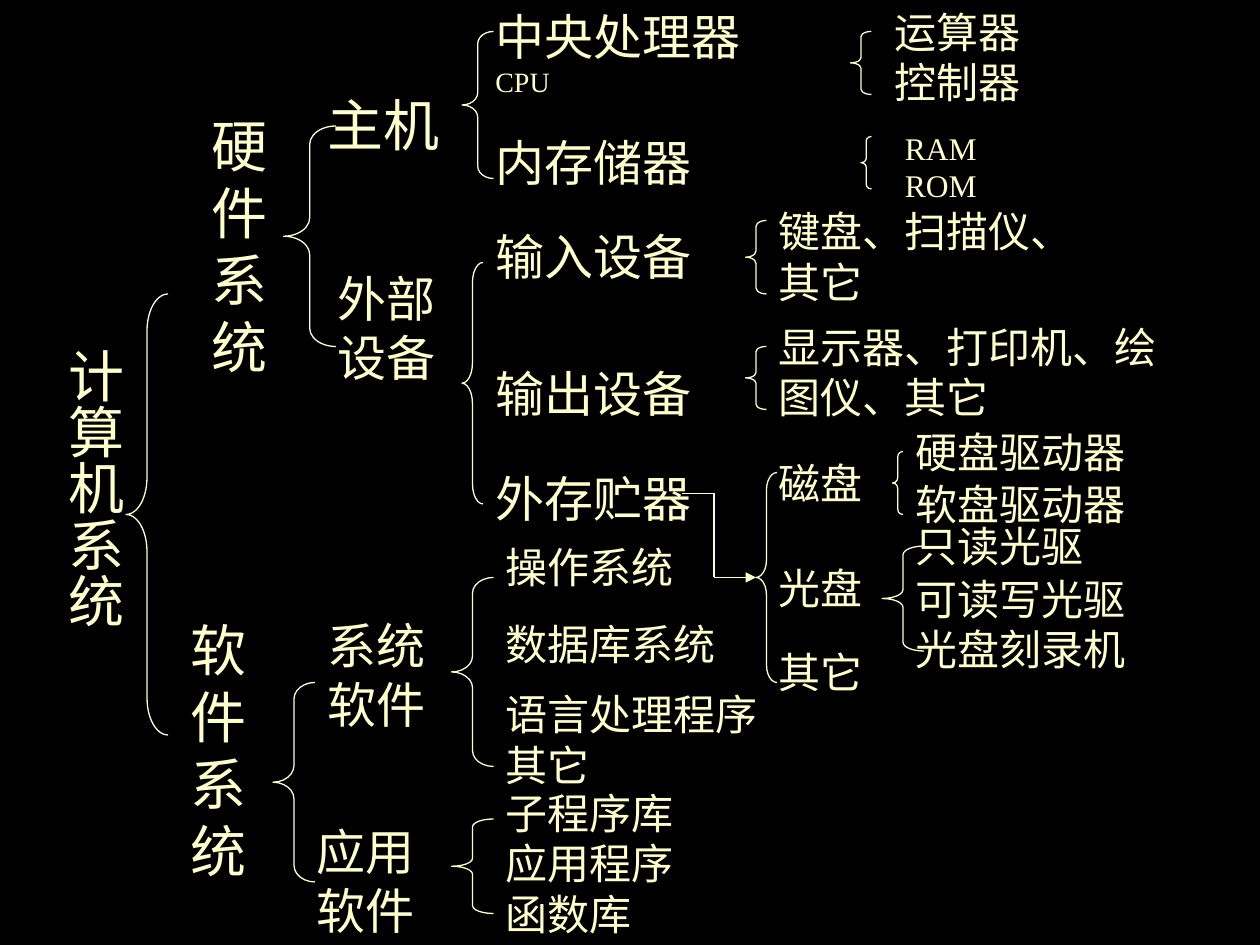
from dataclasses import dataclass
from itertools import pairwise

from lxml.etree import SubElement
from pptx import Presentation
from pptx.dml.color import RGBColor
from pptx.enum.shapes import MSO_CONNECTOR as CONN, MSO_SHAPE as SHAPE
from pptx.enum.text import MSO_AUTO_SIZE as AUTO, PP_ALIGN as ALIGN
from pptx.oxml.ns import qn
from pptx.util import Pt


@dataclass(frozen=True)
class Theme:
    back: RGBColor = RGBColor.from_string("000000")
    ink: RGBColor = RGBColor.from_string("FFFFCC")
    font: str = "Times New Roman"
    line: float = 0.75
    system: int = 32
    group: int = 28
    item: int = 24
    memory: int = 18
    note: int = 16


T = Theme()


def style_line(line):
    line.color.rgb = T.ink
    line.width = Pt(T.line)


def add_run(p, text, size):
    r = p.add_run()
    r.text = text
    fmt = {"name": T.font, "size": Pt(size)}
    for name, value in fmt.items():
        setattr(r.font, name, value)
    r.font.color.rgb = T.ink


def add_label(s, box, x, y, w, h, text, size):
    """Text at an offset in the box; each line of text is a paragraph."""
    sp = s.shapes.add_textbox(Pt(box[0] + x), Pt(box[1] + y), Pt(w), Pt(h))
    tf = sp.text_frame
    tf.word_wrap = True
    tf.auto_size = AUTO.SHAPE_TO_FIT_TEXT
    for i, words in enumerate(text.split("\n")):
        p = tf.add_paragraph() if i else tf.paragraphs[0]
        if i:
            p.space_before = Pt(15)
        for j, piece in enumerate(words.split("\v")):
            if j:
                p.add_line_break()
            add_run(p, piece, size)
    return tf


def add_brace(s, box, x, y, w, h):
    sp = s.shapes.add_shape(SHAPE.LEFT_BRACE, Pt(box[0] + x), Pt(box[1] + y), Pt(w), Pt(h))
    sp.adjustments[0] = h / 12 / w  # each curve is a twelfth of the height
    sp.shadow.inherit = False
    sp.fill.background()
    style_line(sp.line)


def add_route(s, box, points):
    """Straight segments through the points, with an arrow at the end."""
    for (x1, y1), (x2, y2) in pairwise(points):
        cx = s.shapes.add_connector(CONN.STRAIGHT, Pt(box[0] + x1), Pt(box[1] + y1),
                                    Pt(box[0] + x2), Pt(box[1] + y2))
        style_line(cx.line)
        SubElement(cx._element.spPr, qn("a:effectLst"))
    SubElement(cx._element.spPr.find(qn("a:ln")), qn("a:tailEnd"), type="triangle")


def add_tree(s, box, labels, braces):
    for label in labels:
        add_label(s, box, *label)
    for brace in braces:
        add_brace(s, box, *brace)


def add_root(s, box):
    tf = add_label(s, box, 0, 24, 52.5, 198, "计算机系统", T.system)
    tf._txBody.bodyPr.set("vert", "eaVert")
    margins = {"margin_left": 3.6, "margin_right": 3.6, "margin_top": 7.2, "margin_bottom": 7.2}
    for name, value in margins.items():
        setattr(tf, name, Pt(value))
    tf.paragraphs[0].alignment = ALIGN.CENTER
    add_brace(s, box, 47.5, 0, 24, 252)


def add_hardware(s, box):
    labels = [
        (0, 60, 48, 161, "硬件系统", T.system),
        (66, 48, 108, 46, "主机", T.system),
        (72, 150, 84, 75, "外部设备", T.group),
        (162, 72, 144, 41, "内存储器", T.group),
        (162, 126, 150, 41, "输入设备", T.group),
        (162, 204, 180, 41, "输出设备", T.group),
        (390, 0, 114, 65, "运算器\v控制器", T.item),
        (396, 70, 84, 50, "RAM\vROM", T.memory),
        (324, 114, 204, 65, "键盘、扫描仪、其它", T.item),
        (324, 180, 234, 65, "显示器、打印机、绘图仪、其它", T.item),
    ]
    braces = [(48, 72, 30, 126), (150, 18, 18, 84), (150, 150, 12, 138), (372, 18, 12, 36),
              (378, 78, 6, 30), (312, 126, 12, 42), (312, 198, 12, 36)]
    add_tree(s, box, labels, braces)
    # Processor name with its small abbreviation
    tf = add_label(s, box, 162, 0, 162, 60.5, "中央处理器", T.group)
    add_run(tf.paragraphs[0], "CPU", T.note)


def add_storage(s, box):
    labels = [
        (0, 24, 150, 41, "外存贮器", T.group),
        (162, 18, 108, 36, "磁盘", T.item),
        (162, 78, 72, 36, "光盘", T.item),
        (162, 126, 72, 36, "其它", T.item),
        (240, 0, 150, 36, "硬盘驱动器", T.item),
        (240, 30, 144, 36, "软盘驱动器", T.item),
        (240, 54, 144, 36, "只读光驱", T.item),
        (240, 84, 150, 65, "可读写光驱光盘刻录机", T.item),
    ]
    braces = [(156, 30, 12, 120), (234, 18, 6, 36), (228, 72, 24, 60)]
    add_tree(s, box, labels, braces)
    add_route(s, box, [(114, 42), (132, 42), (132, 90), (156, 90)])


def add_software(s, box):
    labels = [
        (0, 42, 60, 161, "软件系统", T.system),
        (78, 42, 90, 75, "系统软件", T.group),
        (72, 160, 90, 75, "应用软件", T.group),
        (180, 0, 144, 80, "操作系统\n数据库系统", T.item),
        (180, 84, 174, 65, "语言处理程序其它", T.item),
        (180, 140.5, 114, 94, "子程序库应用程序函数库", T.item),
    ]
    braces = [(54, 84, 24, 114), (156, 24, 24, 108), (156, 162, 24, 54)]
    add_tree(s, box, labels, braces)


def main():
    prs = Presentation()
    prs.slide_width, prs.slide_height = Pt(720), Pt(540)
    s = prs.slides.add_slide(prs.slide_layouts[6])
    s.background.fill.solid()
    s.background.fill.fore_color.rgb = T.back

    # Regions by their left and top
    add_root(s, (24.5, 168))
    add_hardware(s, (114, 0))
    add_storage(s, (276, 240))
    add_software(s, (102, 306))
    prs.save("out.pptx")


if __name__ == "__main__":
    main()
